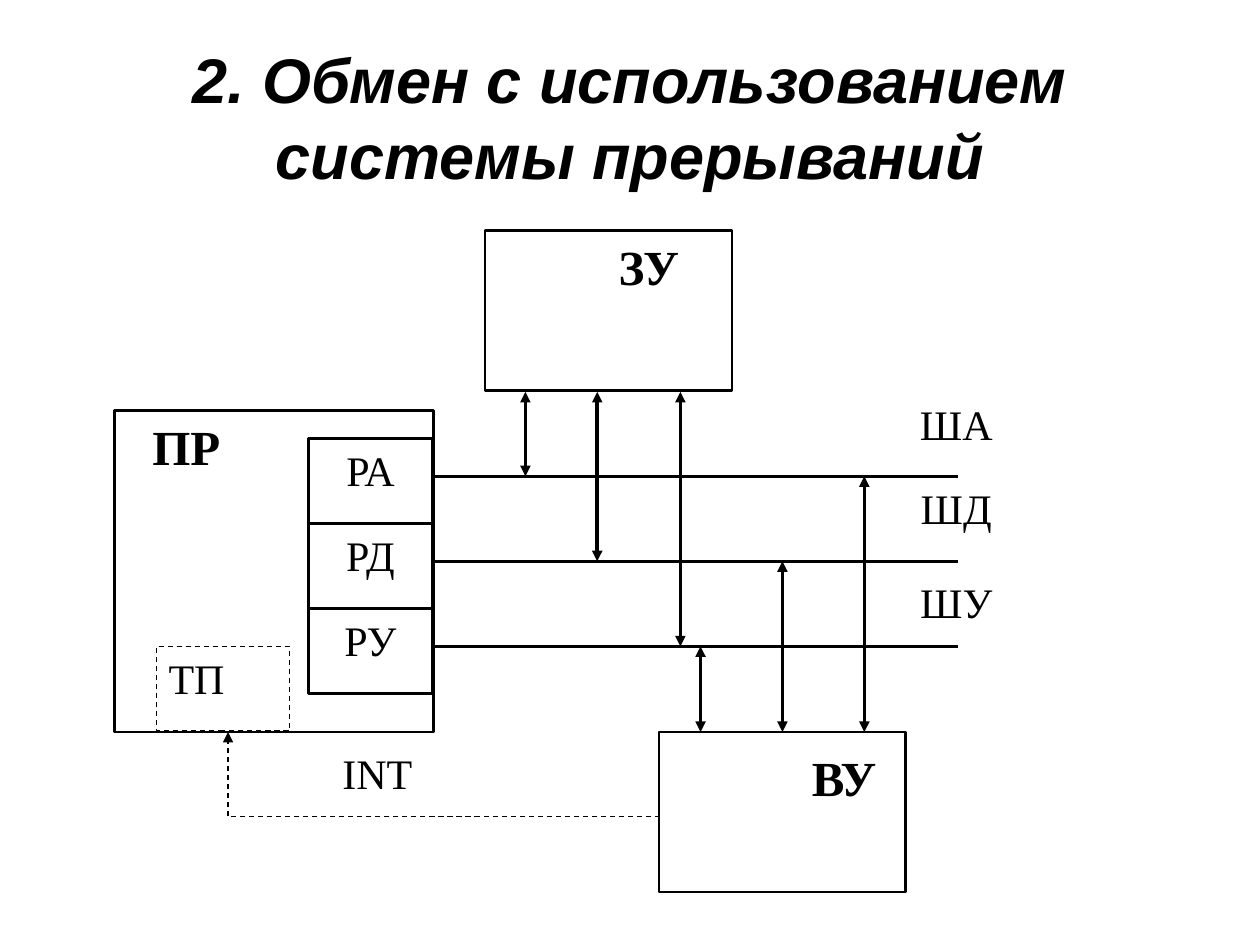
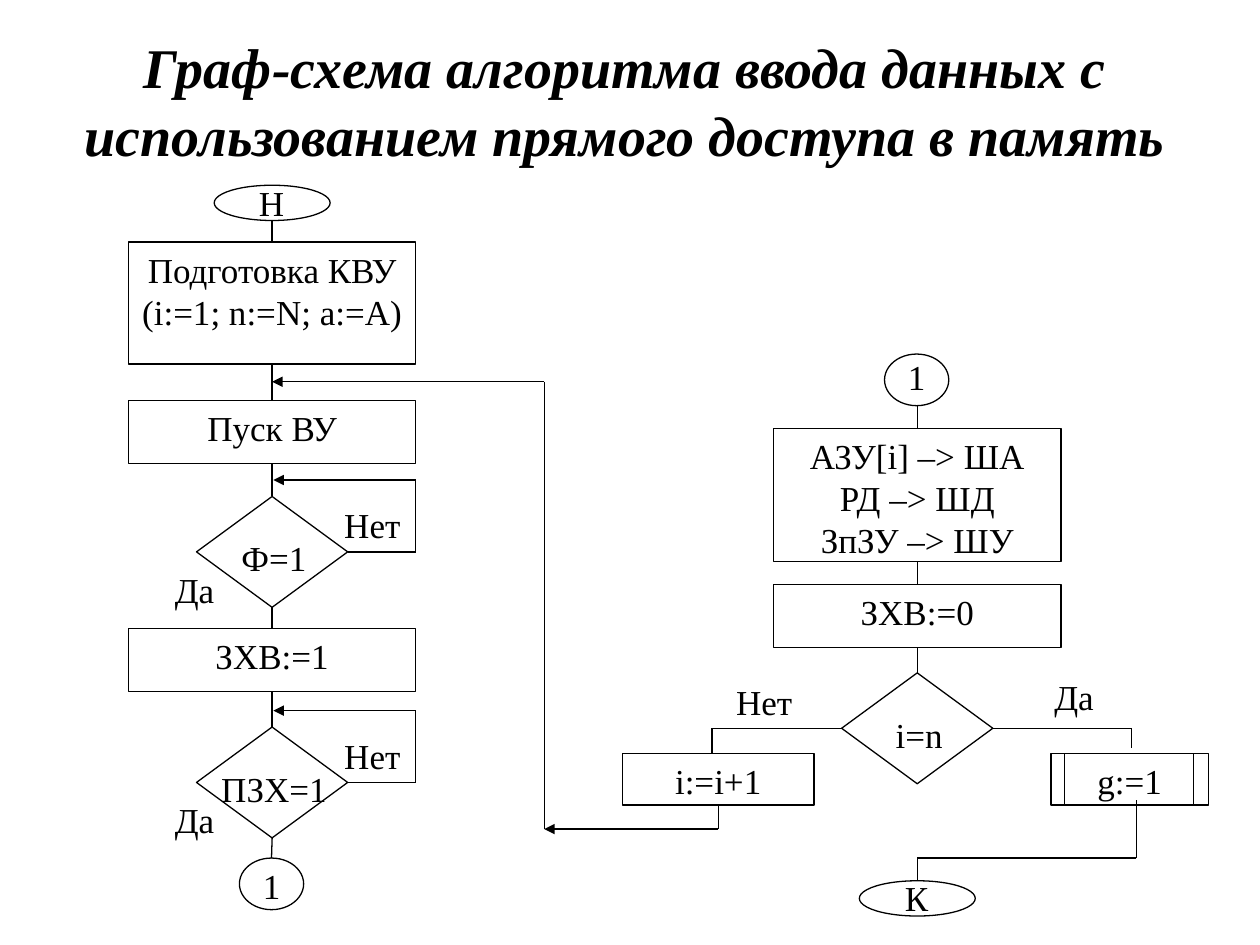
import pptx
import pptx.util
import pptx.dml.color
import pptx.enum.dml
import pptx.enum.shapes
import pptx.enum.text
import pptx.oxml
import pptx.oxml.ns

Inches = pptx.util.Inches
SHAPE = pptx.enum.shapes.MSO_SHAPE
ALIGN = pptx.enum.text.PP_ALIGN
ANCHOR = pptx.enum.text.MSO_ANCHOR
INK = "000000"
SERIF = "Times New Roman"
SANS = "Arial"
TOP, LEFT, BOTTOM, RIGHT = range(4)
THIN, FRAME, BUS = 0.75, 1.5, 2
BUS_STEP = 0.675


def color(hex_text):
    return pptx.dml.color.RGBColor.from_string(hex_text)


def write(frame, text, size=20, font=SERIF, bold=False, italic=False,
          align=ALIGN.CENTER, anchor=ANCHOR.TOP):
    """Fill a text frame, one paragraph for each line of text."""
    frame.word_wrap = True
    frame.vertical_anchor = anchor
    for number, line in enumerate(text.split("\n")):
        paragraph = frame.add_paragraph() if number else frame.paragraphs[0]
        paragraph.alignment = align
        run = paragraph.add_run()
        run.text = line
        run.font.name = font
        run.font.size = pptx.util.Pt(size)
        run.font.bold = bold
        run.font.italic = italic
        run.font.color.rgb = color(INK)


def style_line(line, width, dashed):
    line.color.rgb = color(INK)
    line.width = pptx.util.Pt(width)
    if dashed:
        line.dash_style = pptx.enum.dml.MSO_LINE.DASH


class Region:
    """Part of a slide; lengths are inches from its left top corner."""

    def __init__(self, slide, left=0, top=0):
        self.shapes = slide.shapes
        self.left, self.top = left, top

    def place(self, x, y):
        return Inches(self.left + x), Inches(self.top + y)

    def label(self, text, x, y, width, height, **text_format):
        box = self.shapes.add_textbox(*self.place(x, y), Inches(width), Inches(height))
        write(box.text_frame, text, **text_format)

    def block(self, x, y, width, height, text="", kind=SHAPE.RECTANGLE,
              line=THIN, dashed=False, **text_format):
        shape = self.shapes.add_shape(kind, *self.place(x, y), Inches(width), Inches(height))
        shape.shadow.inherit = False
        shape.fill.background()
        style_line(shape.line, line, dashed)
        if text:
            write(shape.text_frame, text, **text_format)
        return shape

    def link(self, start, end, line=THIN, dashed=False, head=False, tail=False):
        """Draw a line between ends, each an (x, y) point or a (shape, side) pair."""
        points = [(0, 0) if hasattr(e[0], "shape_id") else self.place(*e) for e in (start, end)]
        connector = self.shapes.add_connector(
            pptx.enum.shapes.MSO_CONNECTOR.STRAIGHT, *points[0], *points[1])
        for target, join in ((start, connector.begin_connect), (end, connector.end_connect)):
            if hasattr(target[0], "shape_id"):
                join(*target)
        style_line(connector.line, line, dashed)
        outline = connector.line._get_or_add_ln()
        for tag, wanted in (("a:headEnd", head), ("a:tailEnd", tail)):
            if wanted:
                arrow = pptx.oxml.parse_xml(f"<{tag} {pptx.oxml.ns.nsdecls('a')} type='triangle'/>")
                outline.append(arrow)
        connector._element.spPr.append(
            pptx.oxml.parse_xml(f"<a:effectLst {pptx.oxml.ns.nsdecls('a')}/>"))

    def chain(self, *points):
        for start, end in zip(points, points[1:]):
            self.link(start, end)


def title(slide, text, left, top, width, **text_format):
    Region(slide).label(text, left, top, width, 1.25, bold=True, italic=True,
                        anchor=ANCHOR.MIDDLE, **text_format)


# Interrupt exchange

def processor(slide, left, top):
    part = Region(slide, left, top)
    part.block(0, 0, 2.53, 2.55, line=FRAME)
    part.label("ПР", -0.16, 0, 1.46, 0.82, size=28, bold=True)
    for number, register in enumerate(("РА", "РД", "РУ")):
        part.block(1.54, 0.22 + number * BUS_STEP, 0.98, BUS_STEP, register,
                   line=FRAME, size=24)
    part.block(0.33, 1.87, 1.06, 0.67, "ТП", dashed=True, size=24, align=ALIGN.LEFT)


def buses(slide, left, top):
    part = Region(slide, left, top)
    for number, (bus, label_y) in enumerate((("ША", -0.67), ("ШД", 0), ("ШУ", 0.75))):
        y = number * BUS_STEP
        part.link((4.16, y), (0, y), line=BUS)
        part.label(bus, 3.42, label_y, 1.46, 0.61, size=24)
    memory_y, device_y = -0.67, 2.03
    for number, (memory_x, device_x) in enumerate(((0.73, 3.42), (1.3, 2.77), (1.96, 2.12))):
        y = number * BUS_STEP
        part.link((memory_x, memory_y), (memory_x, y), line=BUS, head=True, tail=True)
        part.link((device_x, y), (device_x, device_y), line=BUS, head=True, tail=True)


def unit(slide, left, top, name, name_x, name_y):
    part = Region(slide, left, top)
    part.block(0, 0, 1.96, 1.27, line=FRAME)
    part.label(name, name_x, name_y, 1.46, 0.82, size=28, bold=True)


def interrupt_line(slide, left, top):
    part = Region(slide, left, top)
    part.link((3.43, 0.67), (0, 0.67), dashed=True)
    part.link((0, 0.67), (0, 0), dashed=True, tail=True)
    part.label("INT", 0.33, 0.07, 1.71, 0.61, size=24)


def interrupt_slide(slide):
    title(slide, "2.\u00a0Обмен с использованием системы прерываний", 0.5, 0.3, 9,
          size=36, font=SANS)
    processor(slide, 0.91, 3.26)
    buses(slide, 3.44, 3.78)
    unit(slide, 3.85, 1.83, "ЗУ", 0.57, 0)
    unit(slide, 5.23, 5.81, "ВУ", 0.74, 0.07)
    interrupt_line(slide, 1.81, 5.81)


# Flowchart: x is measured from the axis of each column

def step(column, y, height, text):
    return column.block(-1.14, y, 2.28, height, text)


def decision(column, y, text):
    diamond = column.block(-0.6, y, 1.2, 0.88, kind=SHAPE.DIAMOND)
    column.label(text, -0.6, y + 0.27, 1.23, 0.39)
    return diamond


def terminal(column, y, text):
    oval = column.block(-0.46, y, 0.92, 0.28, kind=SHAPE.OVAL)
    column.label(text, -0.62, y - 0.08, 1.23, 0.39)
    return oval


def page_mark(column, y, text_y):
    circle = column.block(-0.26, y, 0.51, 0.41, kind=SHAPE.OVAL)
    column.label("1", -0.43, text_y, 0.85, 0.46)
    return circle


def waiting(column, y, text):
    """Decision that returns to its own entry until the answer is yes."""
    diamond = decision(column, y, text)
    column.label("Нет", 0.18, y + 0.01, 1.23, 0.39)
    column.label("Да", -1.23, y + 0.52, 1.23, 0.39)
    column.chain((diamond, RIGHT), (1.14, y + 0.44), (1.14, y - 0.13))
    column.link((1.14, y - 0.13), (0.01, y - 0.13), tail=True)
    return diamond


def input_column(slide, left, top):
    column = Region(slide, left, top)
    terminal(column, 0, "Н")
    steps = [step(column, 0.45, 0.97, "Подготовка КВУ (i:=1; n:=N; a:=A)"),
             step(column, 1.71, 0.5, "Пуск ВУ"),
             waiting(column, 2.47, "Ф=1"),
             step(column, 3.52, 0.5, "ЗХВ:=1"),
             waiting(column, 4.3, "ПЗХ=1"),
             page_mark(column, 5.34, 5.34)]
    column.link((0, 0.28), (steps[0], TOP))
    for upper, lower in zip(steps, steps[1:]):
        column.link((upper, BOTTOM), (lower, TOP))


def transfer_column(slide, left, top):
    column = Region(slide, left, top)
    page_mark(column, 0, -0.04)
    steps = [step(column, 0.59, 1.06, "АЗУ[i] –> ША\nРД –> ШД\nЗпЗУ –> ШУ"),
             step(column, 1.83, 0.5, "ЗХВ:=0"),
             decision(column, 2.53, "i=n")]
    column.link((0, 0.41), (steps[0], TOP))
    for upper, lower in zip(steps, steps[1:]):
        column.link((upper, BOTTOM), (lower, TOP))

    column.label("Нет", -1.83, 2.54, 1.23, 0.39)
    increment = column.block(-2.34, 3.17, 1.52, 0.41, "i:=i+1")
    column.chain((steps[-1], LEFT), (-1.63, 2.97), (-1.63, 3.17))
    column.link((increment, BOTTOM), (-1.58, 3.77))
    column.link((-1.58, 3.77), (-2.96, 3.77), tail=True)
    column.link((-2.96, 3.77), (-2.96, 0.22))
    column.link((-2.96, 0.22), (-5.12, 0.22), tail=True)

    column.label("Да", 0.63, 2.5, 1.23, 0.38)
    column.block(1.06, 3.17, 1.25, 0.41, "g:=1")
    for side_x in (1.17, 2.19):
        column.link((side_x, 3.17), (side_x, 3.58))
    column.chain((steps[-1], RIGHT), (1.7, 2.97), (1.7, 3.13))
    finish = terminal(column, 4.18, "К")
    column.chain((1.74, 3.54), (1.74, 4), (0, 4), (finish, TOP))


def flowchart_slide(slide):
    title(slide, "Граф-схема алгоритма ввода данных с использованием прямого доступа в память",
          0.17, 0.17, 9.58, size=32)
    input_column(slide, 2.16, 1.47)
    transfer_column(slide, 7.28, 2.81)


def main():
    deck = pptx.Presentation()
    deck.slide_width, deck.slide_height = Inches(10), Inches(7.5)
    for build in (interrupt_slide, flowchart_slide):
        build(deck.slides.add_slide(deck.slide_layouts[6]))
    deck.save("out.pptx")


if __name__ == "__main__":
    main()
